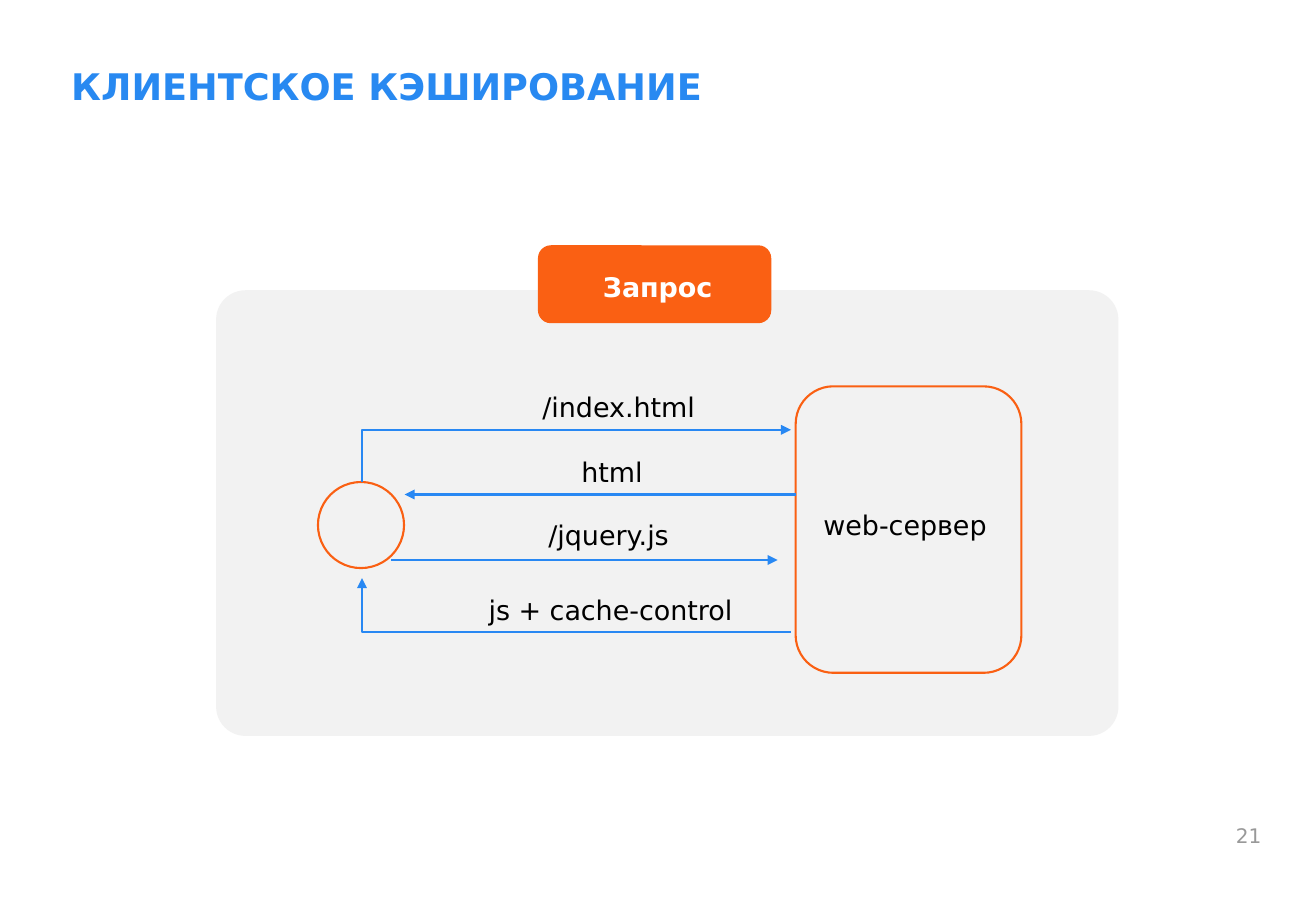
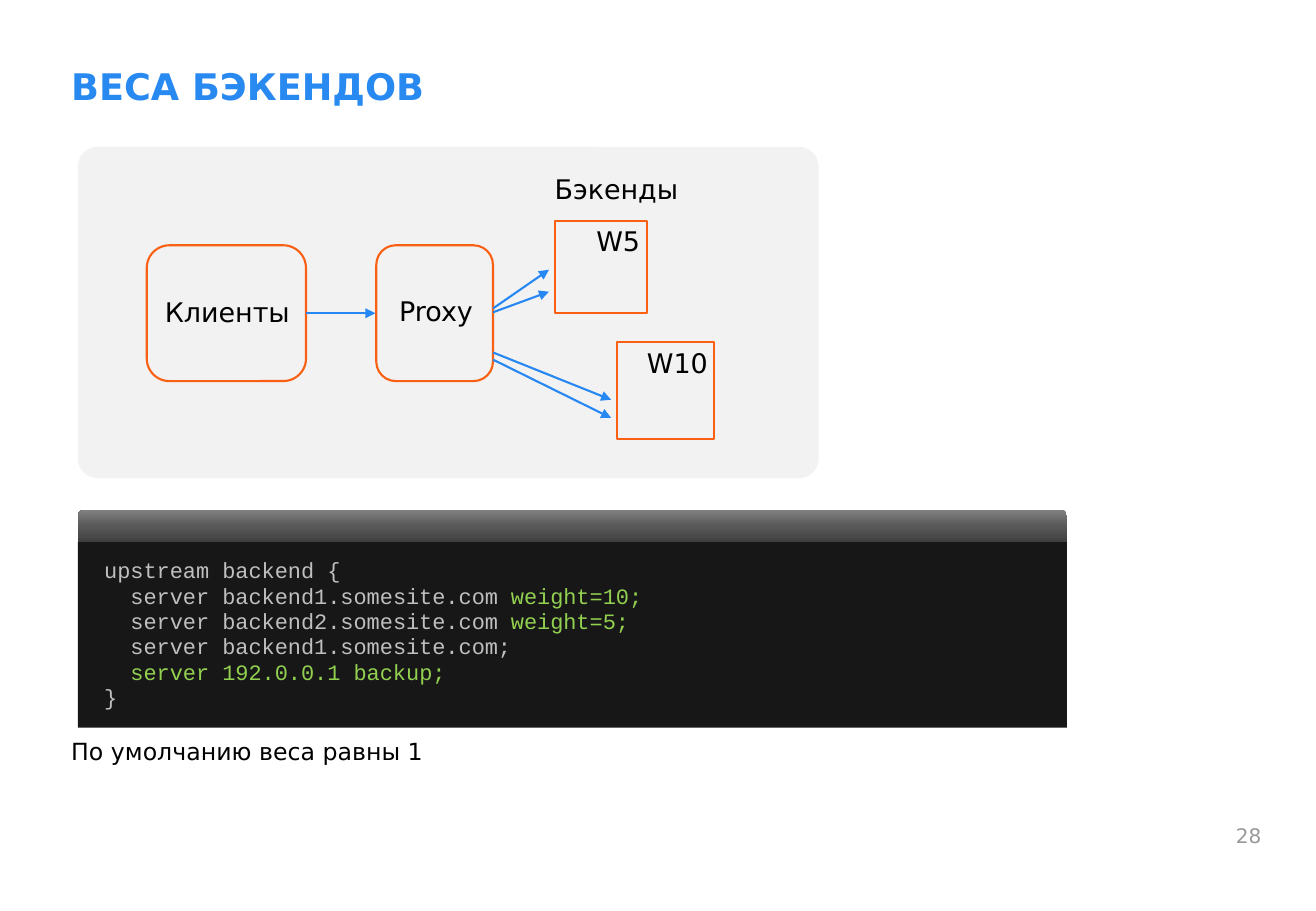
"""Build two slides on client caching and backend weights."""
from copy import deepcopy

from lxml import etree
from pptx import Presentation
from pptx.dml.color import RGBColor
from pptx.enum.shapes import MSO_CONNECTOR, MSO_SHAPE
from pptx.enum.text import MSO_ANCHOR, PP_ALIGN
from pptx.oxml.ns import qn
from pptx.util import Cm, Pt

ROUND, RECT = MSO_SHAPE.ROUNDED_RECTANGLE, MSO_SHAPE.RECTANGLE
OVAL, BAR = MSO_SHAPE.OVAL, MSO_SHAPE.ROUND_2_SAME_RECTANGLE
LINE, BENT = MSO_CONNECTOR.STRAIGHT, MSO_CONNECTOR.ELBOW
LEFT, MID = PP_ALIGN.LEFT, PP_ALIGN.CENTER
TOP, CENTER = MSO_ANCHOR.TOP, MSO_ANCHOR.MIDDLE
HEAD, TAIL = "a:headEnd", "a:tailEnd"
STROKE = Pt(1.25)

COLORS = {
    "title": "2889F1", "arrow": "2888F3", "accent": "FA6013",
    "panel": "F2F2F2", "text": "000000", "white": "FFFFFF",
    "number": "999999", "screen": "181717", "code": "BFBFBF",
    "mark": "92D050", "low": "404040", "half": "595959", "high": "808080",
}
SANS, MONO = "DejaVu Sans", "Courier New"
STYLES = {
    "title": ({"name": SANS, "size": Pt(21.7), "bold": True}, "title", LEFT, CENTER, 0.9),
    "number": ({"name": SANS, "size": Pt(11.9)}, "number", MID, CENTER, 1.0),
    "badge": ({"name": SANS, "size": Pt(16), "bold": True}, "white", MID, CENTER, 1.3),
    "label": ({"name": SANS, "size": Pt(16)}, "text", LEFT, CENTER, 1.0),
    "mid": ({"name": SANS, "size": Pt(16)}, "text", MID, CENTER, 1.0),
    "note": ({"name": SANS, "size": Pt(14)}, "text", LEFT, CENTER, 1.0),
    "code": ({"name": MONO, "size": Pt(13)}, "code", LEFT, TOP, 0.96),
}
TITLE_BOX = (1.24, 1.22, 24.87, 1.27)
NUMBER_BOX = (25.45, 16.97, 1.32, 1.02)

CODE = [
    ["upstream backend {"],
    ["  server backend1.somesite.com ", ("weight=10;", "mark")],
    ["  server backend2.somesite.com ", ("weight=5;", "mark")],
    ["  server backend1.somesite.com;"],
    ["  ", ("server 192.0.0.1 backup;", "mark")],
    ["}"],
]
SLIDES = [
    {
        "title": "КЛИЕНТСКОЕ КЭШИРОВАНИЕ",
        "number": "21",
        "shapes": [
            (ROUND, (4.52, 6.07, 18.87, 9.32), "panel", None, 0.066),
            (ROUND, (16.64, 8.08, 4.72, 5.99), None, "accent", None),
            (ROUND, (11.25, 5.13, 4.88, 1.63), "accent", None, None),
            (OVAL, (6.65, 10.08, 1.8, 1.8), None, "accent", None),
        ],
        "links": [
            (BENT, (7.57, 10.08, 16.54, 8.99), TAIL),
            (BENT, (7.57, 12.09, 16.54, 13.21), HEAD),
            (LINE, (16.64, 10.34, 8.46, 10.34), TAIL),
            (LINE, (8.18, 11.71, 16.26, 11.71), TAIL),
        ],
        "texts": [
            ("badge", (10.54, 5.38, 6.43, 1.04), [["Запрос"]]),
            ("mid", (10.97, 8.03, 3.94, 0.94), [["/index.html"]]),
            ("mid", (10.97, 9.4, 3.66, 0.94), [["html"]]),
            ("mid", (10.9, 10.72, 3.66, 0.94), [["/jquery.js"]]),
            ("mid", (9.91, 12.27, 5.72, 0.94), [["js + cache-control"]]),
            ("label", (16.97, 10.46, 4.78, 1.04), [["web-сервер"]]),
        ],
    },
    {
        "title": "ВЕСА БЭКЕНДОВ",
        "number": "28",
        "shapes": [
            (ROUND, (1.63, 3.07, 15.49, 6.93), "panel", None, 0.059),
            (ROUND, (3.07, 5.13, 3.33, 2.84), None, "accent", None),
            (ROUND, (7.87, 5.13, 2.44, 2.84), None, "accent", None),
            (RECT, (11.61, 4.62, 1.93, 1.93), "panel", "accent", None),
            (RECT, (12.9, 7.16, 2.03, 2.03), "panel", "accent", None),
            (RECT, (1.63, 11.33, 20.68, 3.89), "screen", None, None),
            (BAR, (1.63, 10.67, 20.68, 0.66), ("low", "half", "high"), None, None),
        ],
        "links": [
            (LINE, (6.4, 6.55, 7.85, 6.55), TAIL),
            (LINE, (10.31, 6.45, 11.48, 5.64), TAIL),
            (LINE, (10.31, 6.53, 11.48, 6.1), TAIL),
            (LINE, (10.31, 7.37, 12.78, 8.36), TAIL),
            (LINE, (10.31, 7.52, 12.78, 8.74), TAIL),
        ],
        "texts": [
            ("label", (3.2, 5.99, 4.78, 1.04), [["Клиенты"]]),
            ("label", (8.1, 5.97, 4.78, 1.04), [["Proxy"]]),
            ("label", (11.35, 3.43, 4.78, 1.04), [["Бэкенды"]]),
            ("label", (12.22, 4.55, 1.65, 0.97), [["W5"]]),
            ("label", (13.28, 7.09, 1.93, 0.97), [["W10"]]),
            ("code", (1.93, 11.56, 19.96, 3.07), CODE),
            ("note", (1.24, 15.19, 21.44, 1.04), [["По умолчанию веса равны 1"]]),
        ],
    },
]


def color(name):
    return RGBColor.from_string(COLORS[name])


def paint(fill, name):
    if name is None:
        fill.background()
    else:
        fill.solid()
        fill.fore_color.rgb = color(name)


def blend(shape, names):
    fill = shape.fill
    fill.gradient()
    fill.gradient_angle = 90
    stops = shape._element.spPr.find(".//" + qn("a:gsLst"))
    for _ in names[2:]:
        stops.insert(1, deepcopy(stops[0]))
    for i, (stop, name) in enumerate(zip(fill.gradient_stops, names)):
        stop.position = i / (len(names) - 1)
        stop.color.rgb = color(name)


def add_box(slide, kind, box, fill, line, bend):
    shape = slide.shapes.add_shape(kind, *map(Cm, box))
    shape.shadow.inherit = False
    if isinstance(fill, tuple):
        blend(shape, fill)
    else:
        paint(shape.fill, fill)
    paint(shape.line.fill, line)
    if line:
        shape.line.width = STROKE
    if bend:
        shape.adjustments[0] = bend


def add_link(slide, kind, ends, tip):
    link = slide.shapes.add_connector(kind, *map(Cm, ends))
    paint(link.line.fill, "arrow")
    link.line.width = STROKE
    props = link._element.spPr
    etree.SubElement(props.find(qn("a:ln")), qn(tip), type="triangle")
    etree.SubElement(props, qn("a:effectLst"))
    if kind == BENT:
        geom = props.find(qn("a:prstGeom"))
        guides = geom.find(qn("a:avLst"))
        if guides is None:
            guides = etree.SubElement(geom, qn("a:avLst"))
        etree.SubElement(guides, qn("a:gd"), name="adj1", fmla="val 0")


def add_text(slide, style, box, lines):
    font, base, align, anchor, space = STYLES[style]
    frame = slide.shapes.add_textbox(*map(Cm, box)).text_frame
    frame.word_wrap = True
    frame.vertical_anchor = anchor
    for i, parts in enumerate(lines):
        para = frame.add_paragraph() if i else frame.paragraphs[0]
        para.alignment, para.line_spacing = align, space
        for part in parts:
            words, hue = part if isinstance(part, tuple) else (part, base)
            run = para.add_run()
            run.text = words
            for key, value in font.items():
                setattr(run.font, key, value)
            run.font.color.rgb = color(hue)


def main():
    deck = Presentation()
    deck.slide_width, deck.slide_height = Cm(27.52), Cm(19.05)
    for page in SLIDES:
        slide = deck.slides.add_slide(deck.slide_layouts[6])
        for item in page["shapes"]:
            add_box(slide, *item)
        for item in page["links"]:
            add_link(slide, *item)
        add_text(slide, "title", TITLE_BOX, [[page["title"]]])
        add_text(slide, "number", NUMBER_BOX, [[page["number"]]])
        for item in page["texts"]:
            add_text(slide, *item)
    deck.save("out.pptx")


if __name__ == "__main__":
    main()
